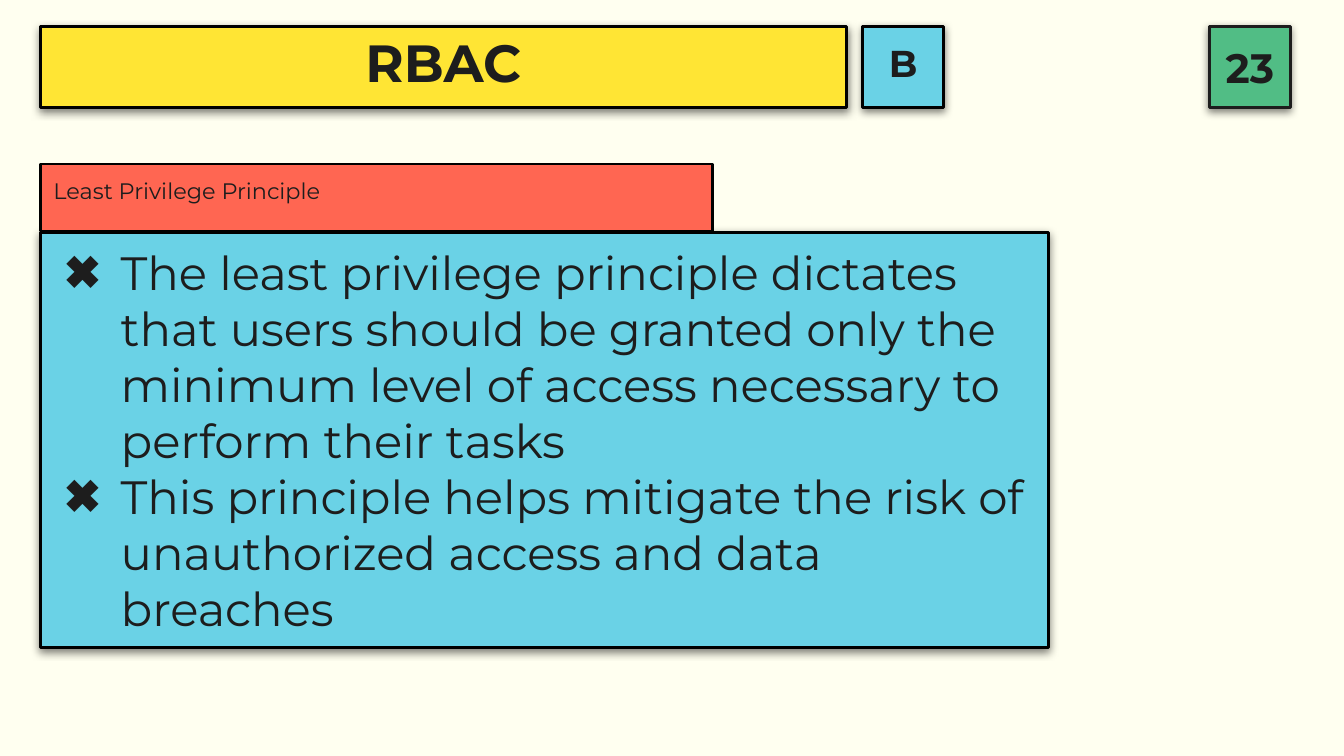
import pptx
import pptx.dml.color
import pptx.enum.shapes
import pptx.enum.text
import pptx.oxml.ns
import pptx.util
from lxml import etree

Inches = pptx.util.Inches
Pt = pptx.util.Pt
ALIGN = pptx.enum.text.PP_ALIGN
ANCHOR = pptx.enum.text.MSO_ANCHOR

FONT = "Montserrat"
COLORS = {
    "background": "FFFFF0",
    "text": "1D1D1D",
    "outline": "000000",
    "yellow": "FFE534",
    "blue": "6AD2E6",
    "red": "FF6652",
    "green": "51BD85",
}
SLIDE_WIDTH = 10
SLIDE_HEIGHT = SLIDE_WIDTH * 9 / 16
LEFT, TOP, HEADER_SIZE = 0.3, 0.2, 0.6
POINTS = [
    "The least privilege principle dictates that users should be granted only "
    "the minimum level of access necessary to perform their tasks",
    "This principle helps mitigate the risk of unauthorized access and data breaches",
]


def rgb(name):
    return pptx.dml.color.RGBColor.from_string(COLORS[name])


def add_element(parent, tag, **attributes):
    return etree.SubElement(parent, pptx.oxml.ns.qn(tag), attributes)


def add_shadow(box):
    """Soft half-transparent shadow straight below the box."""
    effects = box._element.spPr.find(pptx.oxml.ns.qn("a:effectLst"))
    shadow = add_element(effects, "a:outerShdw", blurRad=str(Pt(4.5)),
                         dist=str(Pt(1.5)), dir="5400000", algn="bl", rotWithShape="0")
    color = add_element(shadow, "a:srgbClr", val=COLORS["outline"])
    add_element(color, "a:alpha", val="50000")


def add_bullet(para):
    properties = para._p.get_or_add_pPr()
    properties.set("marL", str(Inches(0.5)))
    properties.set("indent", str(Inches(-0.42)))
    color = add_element(properties, "a:buClr")
    add_element(color, "a:srgbClr", val=COLORS["text"])
    add_element(properties, "a:buFont", typeface=FONT)
    add_element(properties, "a:buChar", char="✖")


def add_box(page, left, top, width, height, fill, lines, size, outline="outline",
            bold=False, align=ALIGN.LEFT, anchor=ANCHOR.MIDDLE, spacing=None,
            bullets=False, shadow=True):
    box = page.shapes.add_shape(
        pptx.enum.shapes.MSO_SHAPE.RECTANGLE,
        Inches(left), Inches(top), Inches(width), Inches(height))
    box.fill.solid()
    box.fill.fore_color.rgb = rgb(fill)
    box.line.color.rgb = rgb(outline)
    box.line.width = Pt(1.5)
    box.shadow.inherit = False
    if shadow:
        add_shadow(box)

    frame = box.text_frame
    frame.text = "\n".join(lines)
    frame.word_wrap = True
    frame.vertical_anchor = anchor
    frame.margin_left = frame.margin_right = Inches(0.1)
    frame.margin_top = frame.margin_bottom = Inches(0.1)
    for para in frame.paragraphs:
        para.alignment = align
        if spacing:
            para.line_spacing = spacing
        if bullets:
            add_bullet(para)
        for span in para.runs:
            span.font.name = FONT
            span.font.size = Pt(size)
            span.font.bold = bold
            span.font.color.rgb = rgb("text")


def add_header_box(page, left, width, fill, label, size, **options):
    add_box(page, left, TOP, width, HEADER_SIZE, fill, [label], size,
            bold=True, align=ALIGN.CENTER, **options)


def main():
    deck = pptx.Presentation()
    deck.slide_width, deck.slide_height = Inches(SLIDE_WIDTH), Inches(SLIDE_HEIGHT)
    page = deck.slides.add_slide(deck.slide_layouts[6])
    page.background.fill.solid()
    page.background.fill.fore_color.rgb = rgb("background")

    # Slide number
    add_header_box(page, 9, HEADER_SIZE, "green", "23", 22, outline="text")

    # Bulleted body
    add_box(page, LEFT, 1.73, 7.5, 3.09, "blue", POINTS, 25, bullets=True)

    # Title and section letter
    add_header_box(page, LEFT, 6, "yellow", "RBAC", 28, spacing=0.8)
    add_header_box(page, 6.42, HEADER_SIZE, "blue", "B", 20, spacing=0.8)

    # Subtitle tab above the body
    add_box(page, LEFT, 1.22, 5, 0.5, "red", ["Least Privilege Principle"], 12,
            anchor=ANCHOR.TOP, shadow=False)

    deck.save("out.pptx")


if __name__ == "__main__":
    main()
